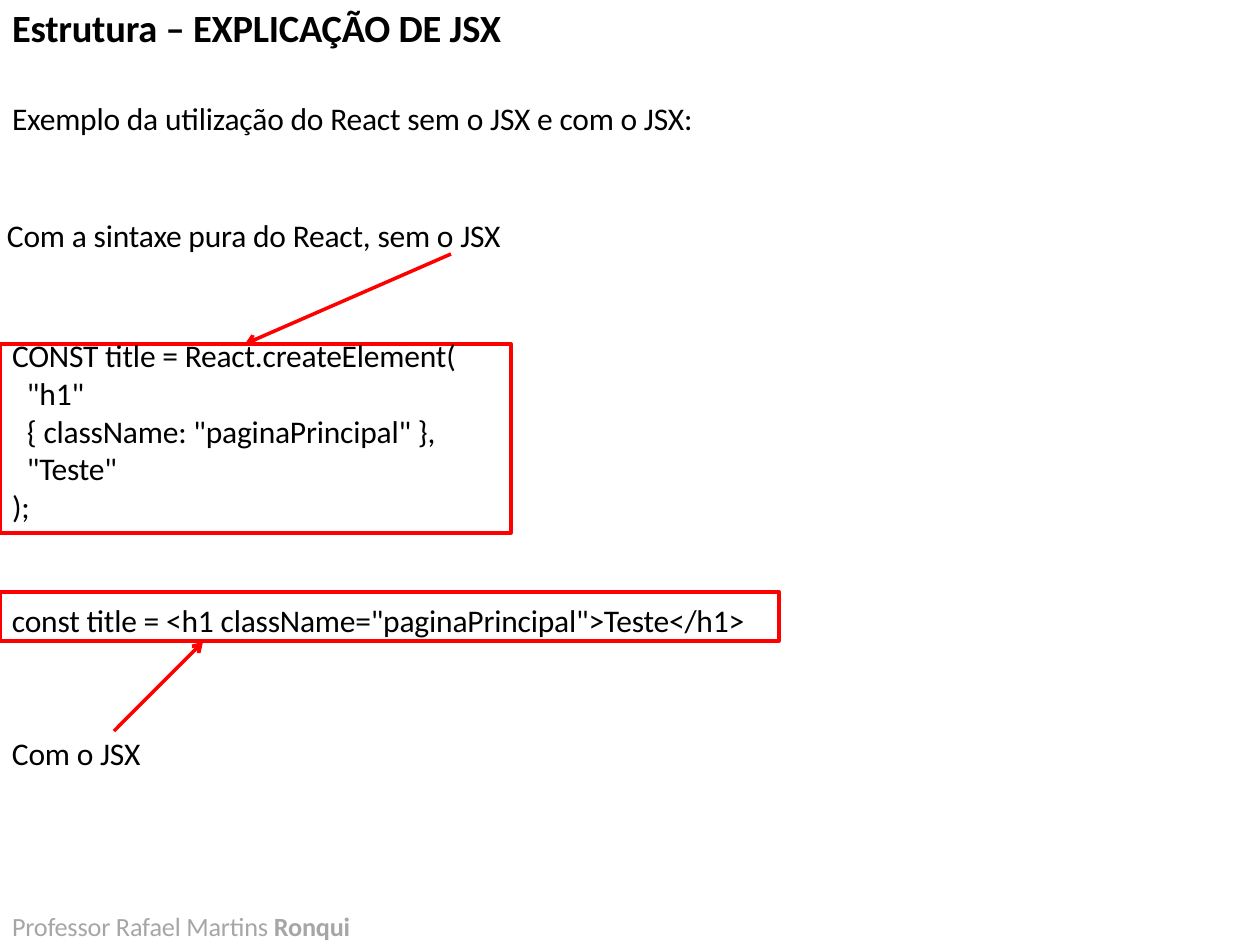
from pptx import Presentation
from pptx import util as u
from pptx.dml.color import RGBColor
from pptx.enum import shapes, text
from pptx.oxml.ns import qn
from lxml import etree

RED = RGBColor(255, 0, 0)
BLACK = RGBColor(0, 0, 0)
GRAY = RGBColor(166, 166, 166)
PX = 914400 / 126

# (box, top inset, size, colour, framed, lines); line: (indent, before, exact height, runs)
TEXTS = [
    ((11, 3, 499, 49), 1, 22, BLACK, False,
     [(1, 0.9, None, [("Estrutura – EXPLICAÇÃO DE JSX", True)])]),
    ((0, 344, 511, 189), 0, 18, BLACK, True,
     [(12, 0, 17.1, [("CONST title = React.createElement(", False)]),
      (27, 0, None, [('"h1"', False)]),
      (27, 0, None, [('{ className: "paginaPrincipal" },', False)]),
      (27, 0, None, [('"Teste"', False)]),
      (12, 0, None, [(");", False)])]),
    ((6, 98, 701, 160), 1, 18, BLACK, False,
     [(6, 1, None, [("Exemplo da utilização do React sem o JSX e com o JSX:", False)]),
      (1, 45, None, [("Com a sintaxe pura do React, sem o JSX", False)])]),
    ((0, 592, 779, 49), 9, 18, BLACK, True,
     [(12, 5, None, [('const title = <h1 className="paginaPrincipal">Teste</h1>', False)])]),
    ((11, 733, 140, 42), 1, 18, BLACK, False,
     [(1, 1, None, [("Com o JSX", False)])]),
    ((11, 915, 348, 30), 0, 15, GRAY, False,
     [(1, 0, 15.2, [("Professor Rafael Martins ", False), ("Ronqui", True)])]),
]
ARROWS = [((451, 254), (245, 344)), ((114, 731), (203, 642))]


def px(n):
    return u.Emu(round(n * PX))


def write(frame, inset, size, color, lines):
    frame.word_wrap = True
    frame.vertical_anchor = text.MSO_ANCHOR.TOP
    frame.margin_left = frame.margin_right = frame.margin_bottom = 0
    frame.margin_top = px(inset)
    for i, (indent, before, height, runs) in enumerate(lines):
        para = frame.add_paragraph() if i else frame.paragraphs[0]
        para.alignment = text.PP_ALIGN.LEFT
        para.space_before = u.Pt(before)
        if height:
            para.line_spacing = u.Pt(height)
        props = para._p.get_or_add_pPr()
        props.set("marL", str(px(indent)))
        props.set("indent", "0")
        for words, bold in runs:
            run = para.add_run()
            run.text = words
            font = run.font
            font.name, font.size, font.bold = "Calibri", u.Pt(size), bold
            font.color.rgb = color
            run._r.get_or_add_rPr().set("spc", "-10")


def stroke(line):
    line.color.rgb = RED
    line.width = u.Pt(2)


def main():
    deck = Presentation()
    deck.slide_width, deck.slide_height = u.Inches(10), u.Inches(7.5)
    slide = deck.slides.add_slide(deck.slide_layouts[6])
    for box, inset, size, color, framed, lines in TEXTS:
        place = [px(n) for n in box]
        if framed:
            shape = slide.shapes.add_shape(shapes.MSO_SHAPE.RECTANGLE, *place)
            shape.shadow.inherit = False
            shape.fill.background()
            stroke(shape.line)
        else:
            shape = slide.shapes.add_textbox(*place)
        write(shape.text_frame, inset, size, color, lines)
    for start, end in ARROWS:
        arrow = slide.shapes.add_connector(
            shapes.MSO_CONNECTOR.STRAIGHT, *[px(n) for n in start + end])
        stroke(arrow.line)
        etree.SubElement(arrow.line._get_or_add_ln(), qn("a:tailEnd"), type="arrow")
        etree.SubElement(arrow._element.spPr, qn("a:effectLst"))
    deck.save("out.pptx")


if __name__ == "__main__":
    main()
